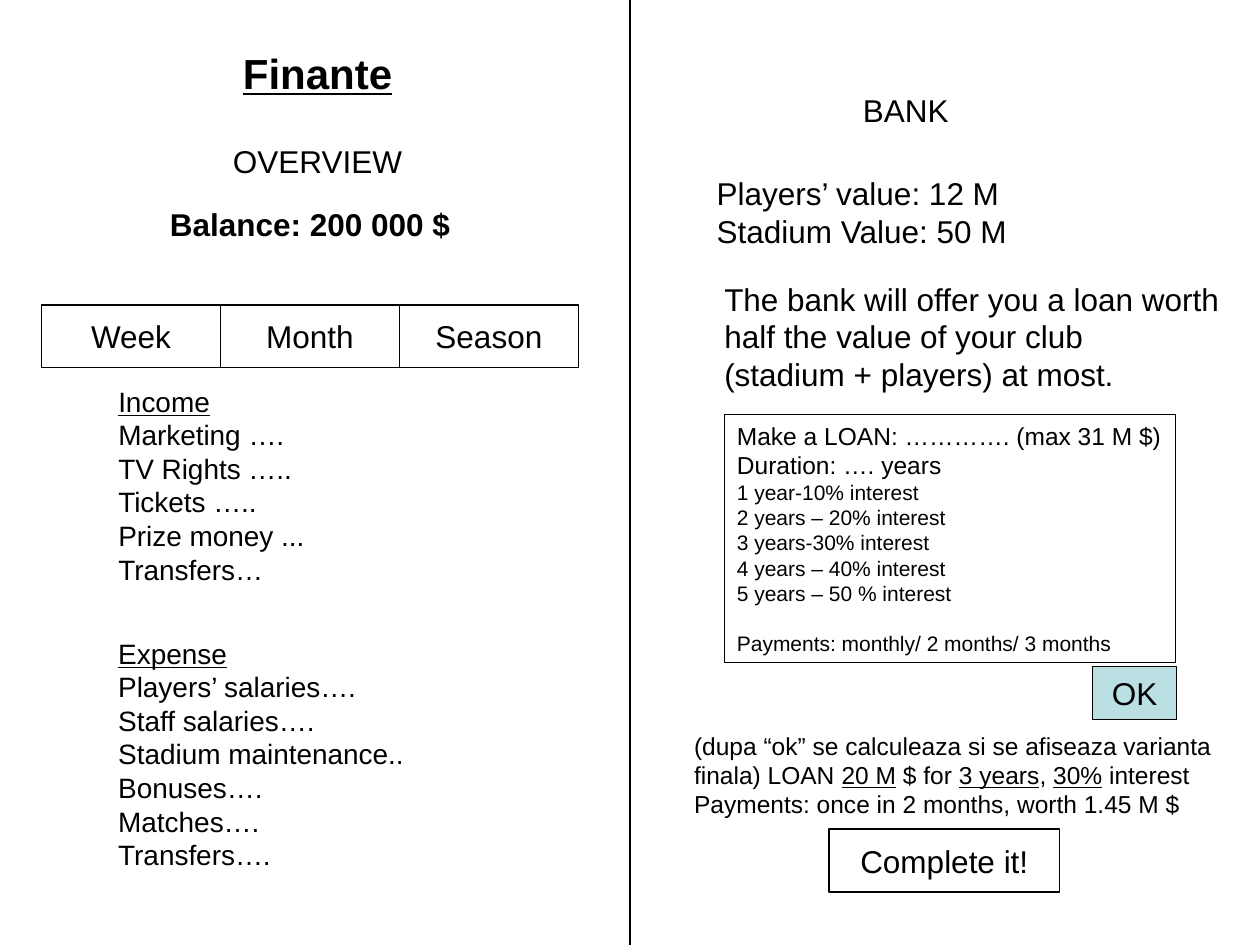
from dataclasses import dataclass

from lxml.etree import SubElement
from pptx import Presentation
from pptx.dml.color import RGBColor
from pptx.enum.shapes import MSO_CONNECTOR as Connector, MSO_SHAPE as Preset
from pptx.enum.text import MSO_ANCHOR as Anchor, MSO_AUTO_SIZE as AutoSize, PP_ALIGN as Align
from pptx.oxml.ns import qn
from pptx.util import Inches, Pt


@dataclass(frozen=True)
class Theme:
    font: str = "Arial"
    ink: RGBColor = RGBColor(0x00, 0x00, 0x00)
    accent: RGBColor = RGBColor(0xBB, 0xE0, 0xE3)
    title: int = 24
    body: int = 18
    ledger: int = 16
    detail: int = 14
    terms: int = 12
    line: float = 0.75


THEME = Theme()
TEXT_SLACK = 0.04


def apply_format(target, values):
    for name, value in values.items():
        setattr(target, name, value)


def write_paragraph(paragraph, text, size, bold=False):
    for index, part in enumerate(text.split("_")):
        if part:
            run = paragraph.add_run()
            run.text = part
            apply_format(run.font, {"name": THEME.font, "size": Pt(size), "bold": bold,
                                    "underline": index % 2 == 1})
            run.font.color.rgb = THEME.ink


def write_lines(frame, lines, size, bold=False):
    for index, text in enumerate(lines):
        paragraph = frame.add_paragraph() if index else frame.paragraphs[0]
        write_paragraph(paragraph, text, size, bold)


def add_text(slide, box, lines, size=THEME.body, bold=False):
    left, top, width, height = box
    bounds = map(Inches, (left, top, width + TEXT_SLACK, height))
    frame = slide.shapes.add_textbox(*bounds).text_frame
    apply_format(frame, {"word_wrap": False, "auto_size": AutoSize.SHAPE_TO_FIT_TEXT})
    write_lines(frame, lines, size, bold)


def add_box(slide, box, fill=None):
    shape = slide.shapes.add_shape(Preset.RECTANGLE, *map(Inches, box))
    shape.shadow.inherit = False
    if fill is None:
        shape.fill.background()
    else:
        shape.fill.solid()
        shape.fill.fore_color.rgb = fill
    shape.line.color.rgb = THEME.ink
    shape.line.width = Pt(THEME.line)
    return shape


def add_button(slide, box, label, fill=None):
    frame = add_box(slide, box, fill).text_frame
    apply_format(frame, {"word_wrap": False, "vertical_anchor": Anchor.MIDDLE})
    write_lines(frame, [label], THEME.body)
    frame.paragraphs[0].alignment = Align.CENTER


def add_loan_form(slide, box, fields, terms, payments):
    frame = add_box(slide, box).text_frame
    apply_format(frame, {"word_wrap": True, "vertical_anchor": Anchor.TOP,
                         "auto_size": AutoSize.SHAPE_TO_FIT_TEXT})
    write_lines(frame, fields, THEME.detail)
    for text in terms + [payments]:
        write_paragraph(frame.add_paragraph(), text, THEME.terms)
    for paragraph in frame.paragraphs:
        paragraph.alignment = Align.LEFT
    frame.paragraphs[-1].space_before = Pt(14.4)


def add_divider(slide, x, height):
    divider = slide.shapes.add_connector(Connector.STRAIGHT, Inches(x), 0, Inches(x), Inches(height))
    divider.line.color.rgb = THEME.ink
    divider.line.width = Pt(THEME.line)
    SubElement(divider._element.spPr, qn("a:effectLst"))


def add_overview(slide):
    add_text(slide, (1.83, 0.33, 1.38, 0.5), ["_Finante_"], THEME.title, bold=True)
    add_text(slide, (1.75, 1.08, 1.54, 0.4), ["OVERVIEW"])
    add_text(slide, (1.25, 1.58, 2.42, 0.4), ["Balance: 200 000 $"], bold=True)
    tab_width = 1.42
    for index, label in enumerate(["Week", "Month", "Season"]):
        add_button(slide, (0.33 + index * tab_width, 2.42, tab_width, 0.5), label)
    add_text(slide, (0.84, 3, 1.68, 1.7),
             ["_Income_", "Marketing ….", "TV Rights …..", "Tickets …..",
              "Prize money ...", "Transfers…"], THEME.ledger)
    add_text(slide, (0.84, 5, 2.46, 1.97),
             ["_Expense_", "Players’ salaries….", "Staff salaries….", "Stadium maintenance..",
              "Bonuses….", "Matches….", "Transfers…."], THEME.ledger)


def add_bank(slide):
    add_text(slide, (6.75, 0.67, 0.88, 0.4), ["BANK"])
    add_text(slide, (5.59, 1.33, 2.59, 0.7), ["Players’ value: 12 M", "Stadium Value: 50 M"])
    add_text(slide, (5.65, 2.17, 4.13, 1),
             ["The bank will offer you a loan worth", "half the value of your club",
              "(stadium + players) at most."])
    add_loan_form(slide, (5.75, 3.29, 3.58, 1.97),
                  ["Make a LOAN: …………. (max 31 M $)", "Duration: …. years"],
                  ["1 year-10% interest", "2 years – 20% interest", "3 years-30% interest",
                   "4 years – 40% interest", "5 years – 50 % interest"],
                  "Payments: monthly/ 2 months/ 3 months")
    add_button(slide, (8.67, 5.29, 0.67, 0.42), "OK", THEME.accent)
    add_text(slide, (5.41, 5.75, 4.31, 0.8),
             ["(dupa “ok” se calculeaza si se afiseaza varianta",
              "finala) LOAN _20 M_ $ for _3 years_, _30%_ interest",
              "Payments: once in 2 months, worth 1.45 M $"], THEME.detail)
    add_button(slide, (6.58, 6.58, 1.83, 0.5), "Complete it!")


def main():
    presentation = Presentation()
    apply_format(presentation, {"slide_width": Inches(10), "slide_height": Inches(7.5)})
    slide = presentation.slides.add_slide(presentation.slide_layouts[6])
    add_divider(slide, 5, 7.5)
    add_overview(slide)
    add_bank(slide)
    presentation.save("out.pptx")


if __name__ == "__main__":
    main()
